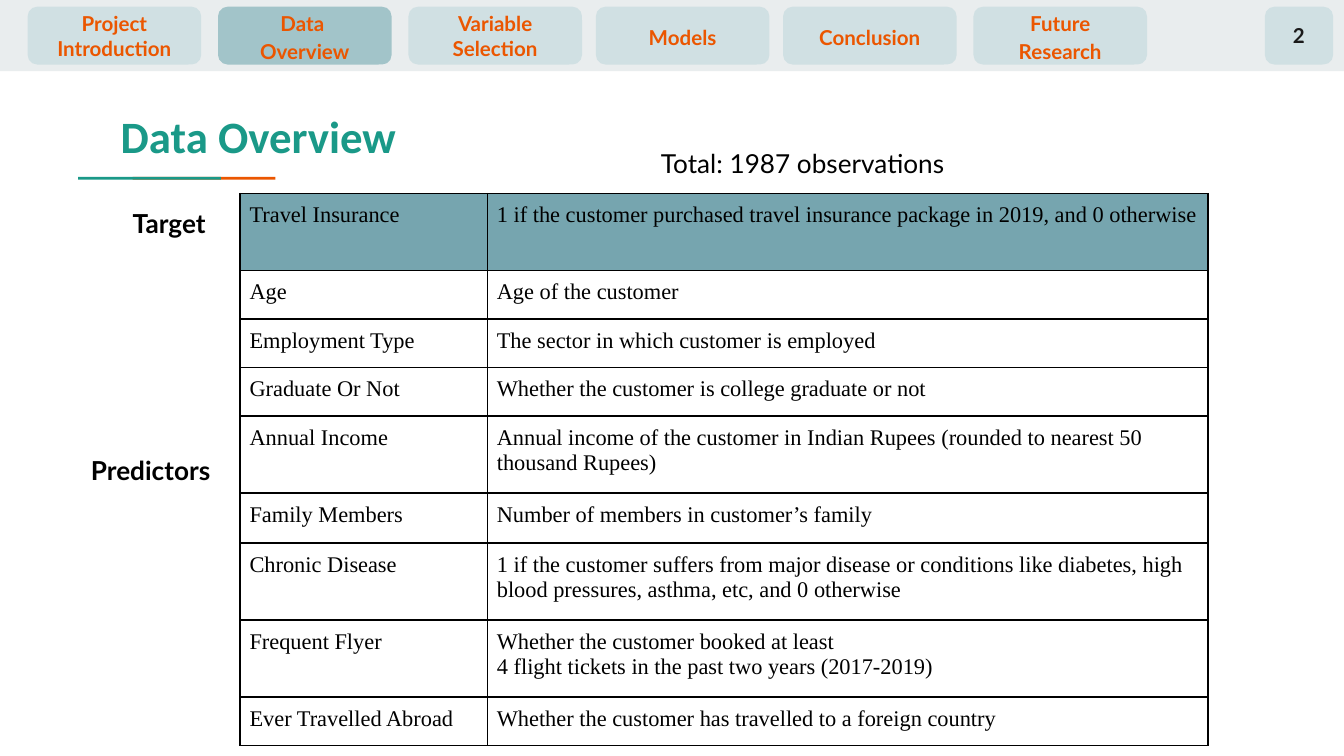
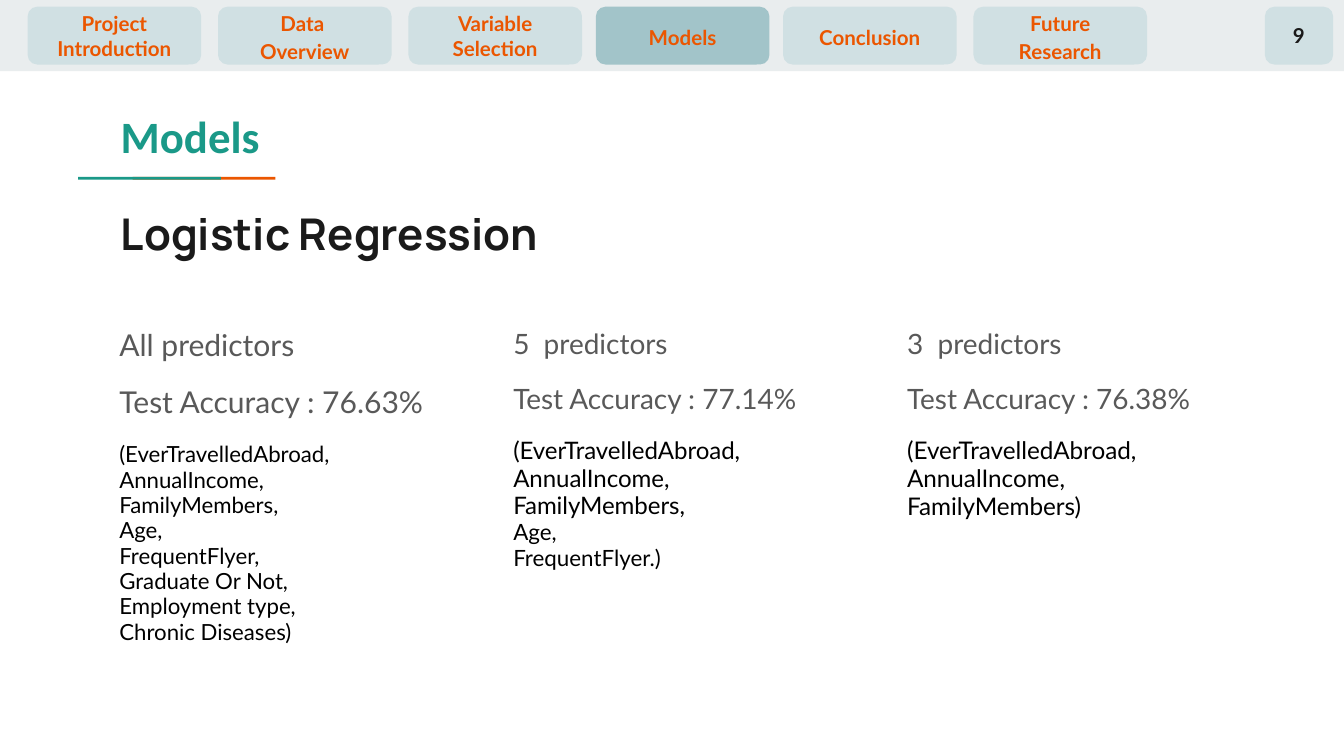
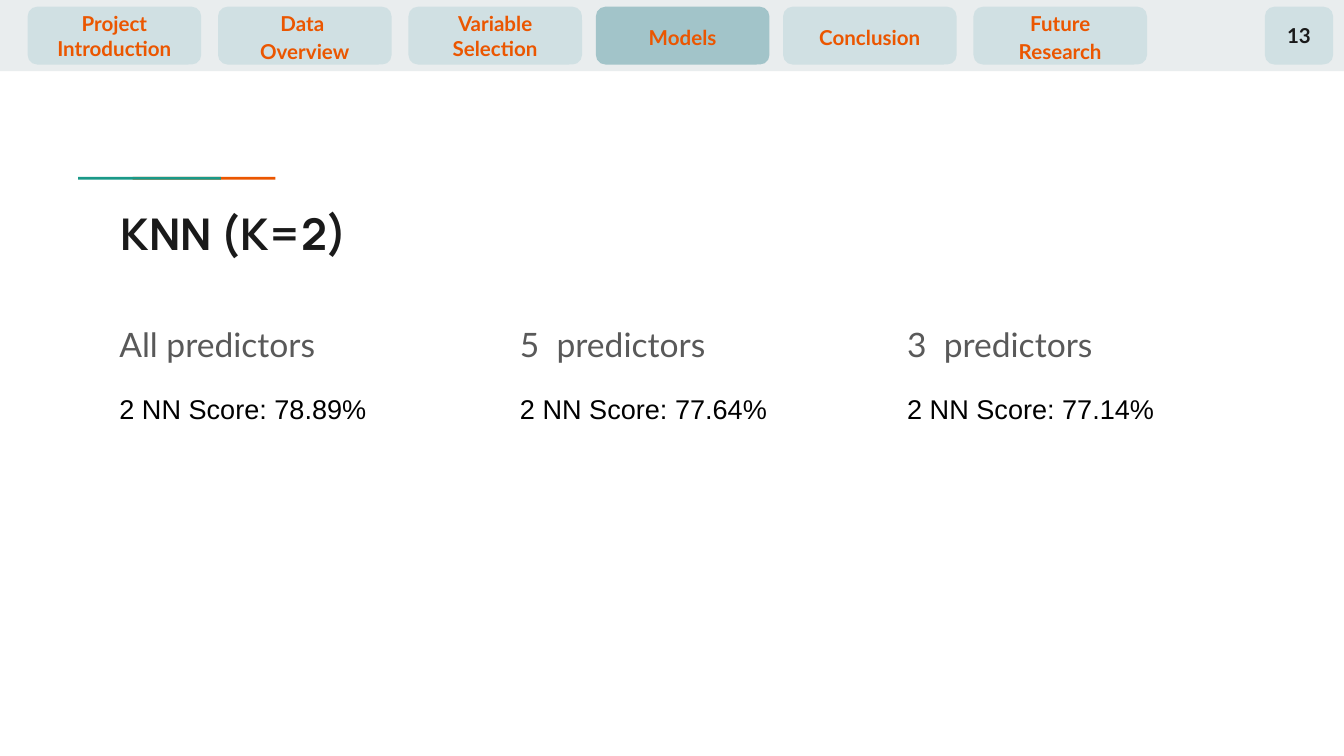
"""Build three slides on travel insurance data and its prediction models."""
from dataclasses import dataclass
from typing import NamedTuple

from lxml import etree
from pptx import Presentation
from pptx import util as u
from pptx.dml.color import RGBColor
from pptx.enum import shapes, text
from pptx.oxml import ns
from pptx.slide import Slide

COLOURS = {
    "band": "E9EDEE", "tab": "D0E0E3", "active": "A2C4C9", "orange": "EB5600",
    "teal": "1A9988", "ink": "1A1A1A", "grey": "595959", "black": "000000",
    "target": "76A5AF",
}
INSET = 7.2
CELL_INSET = 5
TAB_TOP, TAB_WIDTH, TAB_HEIGHT = 3.6, 93, 31


class Box(NamedTuple):
    left: float
    top: float
    width: float
    height: float


class Style(NamedTuple):
    font: str
    size: float
    colour: str
    bold: bool = False


class Line(NamedTuple):
    text: str
    style: Style
    spacing: float = 1.0
    before: float = 0
    alignment: text.PP_ALIGN = text.PP_ALIGN.LEFT


@dataclass
class Tab:
    name: str
    left: float
    lines: tuple[str, ...]
    spacing: float = 1.15


TITLE = Style("Calibri", 24, "teal", True)
SUBTITLE = Style("Manrope", 23.4, "ink", True)
TAB_STYLE = Style("Lato", 11, "orange", True)
NUMBER_STYLE = Style("Lato", 11, "ink", True)
NOTE = Style("Lato", 14, "black")
LABEL = Style("Lato", 14, "black", True)
CELL = Style("Times New Roman", 12, "black")
SCORE = Style("Arial", 14.5, "black")
HEADING = Style("Lato", 18, "grey")

TITLE_BOX = Box(57.6, 51.1, 605.5, 42.5)
SUBTITLE_BOX = TITLE_BOX._replace(top=103.7)

TABS = [
    Tab("Introduction", 14.8, ("Project Introduction",), 1.0),
    Tab("Data", 116.8, ("Data \vOverview",)),
    Tab("Variables", 218.8, ("Variable Selection",), 1.0),
    Tab("Models", 319.2, ("Models",)),
    Tab("Conclusion", 419.5, ("Conclusion",)),
    Tab("Research", 521.5, ("Future", "Research")),
]

COLUMN_WIDTHS = (132.5, 386)
VARIABLES = [
    (41.2, "Travel Insurance",
     "1 if the customer purchased travel insurance package in 2019, and 0 otherwise"),
    (26, "Age", "Age of the customer"),
    (26, "Employment Type", "The sector in which customer is employed"),
    (26, "Graduate Or Not", "Whether the customer is college graduate or not"),
    (41.2, "Annual Income",
     "Annual income of the customer in Indian Rupees (rounded to nearest 50 thousand Rupees)"),
    (27, "Family Members", "Number of members in customer’s family"),
    (41.2, "Chronic Disease",
     "1 if the customer suffers from major disease or conditions like diabetes, "
     "high blood pressures, asthma, etc, and 0 otherwise"),
    (41.2, "Frequent Flyer",
     "Whether the customer booked at least\n"
     "4 flight tickets in the past two years (2017-2019)"),
    (26, "Ever Travelled Abroad", "Whether the customer has travelled to a foreign country"),
]


@dataclass
class Regression:
    left: float
    predictors: str
    accuracy: str
    heading_size: float
    variables: tuple[tuple[str, float], ...]


REGRESSIONS = [
    Regression(56.9, "All predictors", "76.63%", 16.1, tuple(
        (name, 11.9) for name in (
            "(EverTravelledAbroad, AnnualIncome,", "FamilyMembers,", "Age,",
            "FrequentFlyer,", "Graduate Or Not,", "Employment type,", "Chronic Diseases)"))),
    Regression(267.9, "5  predictors", "77.14%", 15, (
        ("(EverTravelledAbroad, AnnualIncome, FamilyMembers,", 12.9),
        ("Age,", 12), ("FrequentFlyer.)", 12))),
    Regression(478.9, "3  predictors", "76.38%", 15, (
        ("(EverTravelledAbroad, AnnualIncome, FamilyMembers)", 13),)),
]
NEIGHBOURS = [
    (56.9, "All predictors", "78.89%"),
    (271.5, "5  predictors", "77.64%"),
    (478.9, "3  predictors", "77.14%"),
]


def rgb(name: str) -> RGBColor:
    return RGBColor.from_string(COLOURS[name])


def apply(target: object, values: dict) -> None:
    for name, value in values.items():
        setattr(target, name, value)


def write(frame, lines: list[Line], anchor=text.MSO_ANCHOR.TOP, inset: float = INSET) -> None:
    sides = ("left", "top", "right", "bottom")
    apply(frame, {f"margin_{side}": u.Pt(inset) for side in sides})
    apply(frame, {"word_wrap": True, "vertical_anchor": anchor})
    for index, line in enumerate(lines):
        paragraph = frame.add_paragraph() if index else frame.paragraphs[0]
        paragraph.text = line.text
        apply(paragraph, {"alignment": line.alignment, "line_spacing": line.spacing,
                          "space_before": u.Pt(line.before)})
        style = line.style
        apply(paragraph.font, {"name": style.font, "size": u.Pt(style.size),
                               "bold": style.bold})
        paragraph.font.color.rgb = rgb(style.colour)


def add_text(slide: Slide, box: Box, lines: list[Line]) -> None:
    shape = slide.shapes.add_textbox(*map(u.Pt, box))
    write(shape.text_frame, lines)


def add_block(slide: Slide, box: Box, colour: str, kind=shapes.MSO_SHAPE.RECTANGLE):
    shape = slide.shapes.add_shape(kind, *map(u.Pt, box))
    shape.shadow.inherit = False
    shape.fill.solid()
    shape.fill.fore_color.rgb = rgb(colour)
    shape.line.fill.background()
    return shape


def add_button(slide: Slide, box: Box, colour: str, texts: tuple[str, ...],
               style: Style, spacing: float = 1.0) -> None:
    shape = add_block(slide, box, colour, shapes.MSO_SHAPE.ROUNDED_RECTANGLE)
    lines = [Line(item, style, spacing, alignment=text.PP_ALIGN.CENTER) for item in texts]
    write(shape.text_frame, lines, text.MSO_ANCHOR.MIDDLE)


def add_slide(presentation, active: str, number: int, title: str = "",
              subtitle: str = "") -> Slide:
    slide = presentation.slides.add_slide(presentation.slide_layouts[6])
    add_block(slide, Box(0, 0, 720, 38.2), "band")
    add_block(slide, Box(71, 94.8, 76.5, 1.5), "orange")
    add_block(slide, Box(41.8, 94.8, 76.5, 1.5), "teal")
    for tab in TABS:
        add_button(slide, Box(tab.left, TAB_TOP, TAB_WIDTH, TAB_HEIGHT),
                   "active" if tab.name == active else "tab",
                   tab.lines, TAB_STYLE, tab.spacing)
    add_button(slide, Box(677.6, TAB_TOP, 36.6, TAB_HEIGHT), "tab",
               (str(number),), NUMBER_STYLE)
    for content, box, style in ((title, TITLE_BOX, TITLE), (subtitle, SUBTITLE_BOX, SUBTITLE)):
        if content:
            add_text(slide, box, [Line(content, style)])
    return slide


def add_borders(cell) -> None:
    properties = cell._tc.get_or_add_tcPr()
    for side in ("L", "R", "T", "B"):
        border = etree.SubElement(properties, ns.qn(f"a:ln{side}"), w=str(u.Pt(1)))
        fill = etree.SubElement(border, ns.qn("a:solidFill"))
        etree.SubElement(fill, ns.qn("a:srgbClr"), val=COLOURS["black"])


def add_variable_table(slide: Slide) -> None:
    box = Box(128.7, 103.7, sum(COLUMN_WIDTHS), sum(row[0] for row in VARIABLES))
    table = slide.shapes.add_table(
        len(VARIABLES), len(COLUMN_WIDTHS), *map(u.Pt, box)).table
    apply(table, {"first_row": False, "horz_banding": False})
    for column, width in zip(table.columns, COLUMN_WIDTHS):
        column.width = u.Pt(width)
    for index, (height, *contents) in enumerate(VARIABLES):
        table.rows[index].height = u.Pt(height)
        for cell, content in zip(table.rows[index].cells, contents):
            add_borders(cell)
            if index == 0:
                cell.fill.solid()
                cell.fill.fore_color.rgb = rgb("target")
            else:
                cell.fill.background()
            sides = ("left", "top", "right", "bottom")
            apply(cell, {f"margin_{side}": u.Pt(CELL_INSET) for side in sides})
            write(cell.text_frame, [Line(item, CELL) for item in content.split("\n")],
                  inset=CELL_INSET)


def build_overview(presentation) -> None:
    slide = add_slide(presentation, "Data", 2, "Data Overview")
    add_variable_table(slide)
    add_text(slide, Box(347, 72, 350, 31.5), [Line("Total: 1987 observations", NOTE)])
    add_text(slide, Box(64, 103.7, 58.3, 31.5), [Line("Target", LABEL)])
    add_text(slide, Box(41.6, 236, 87, 31.5), [Line("Predictors", LABEL)])


def build_regression(presentation) -> None:
    slide = add_slide(presentation, "Models", 9, "Models", "Logistic Regression")
    for model in REGRESSIONS:
        heading = HEADING._replace(size=model.heading_size)
        lines = [Line(model.predictors, heading, 0.95),
                 Line(f"Test Accuracy : {model.accuracy}", heading, 0.95, 12)]
        lines += [Line(name, NOTE._replace(size=size), 0.95, 0 if index else 12)
                  for index, (name, size) in enumerate(model.variables)]
        add_text(slide, Box(model.left, 169.2, 184.3, 211.7), lines)


def build_neighbours(presentation) -> None:
    slide = add_slide(presentation, "Models", 13, subtitle="KNN (K=2)")
    for left, predictors, score in NEIGHBOURS:
        add_text(slide, Box(left, 163.4, 184.3, 177.8),
                 [Line(predictors, HEADING, 1.15),
                  Line(f"2 NN Score: {score}", SCORE, 1.15, 12)])


def main() -> None:
    presentation = Presentation()
    apply(presentation, {"slide_width": u.Pt(720), "slide_height": u.Pt(405)})
    for build in (build_overview, build_regression, build_neighbours):
        build(presentation)
    presentation.save("out.pptx")


if __name__ == "__main__":
    main()
